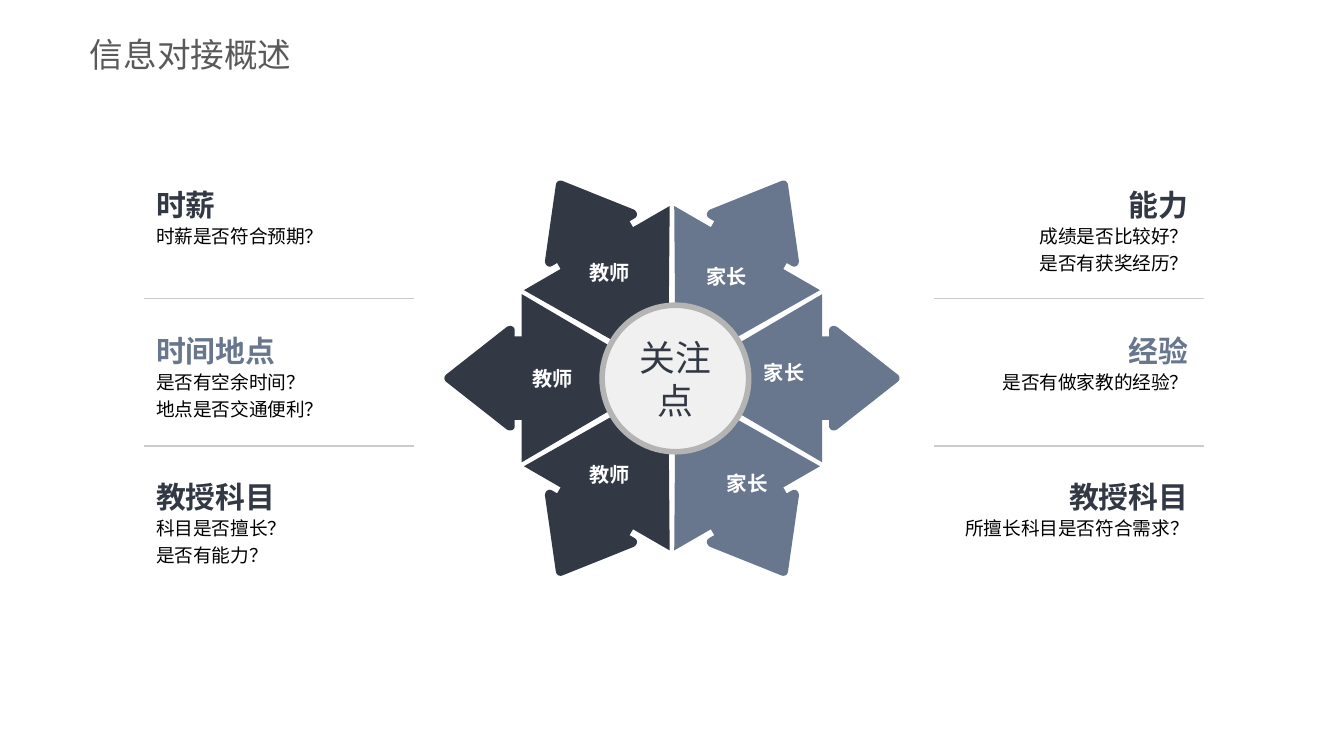
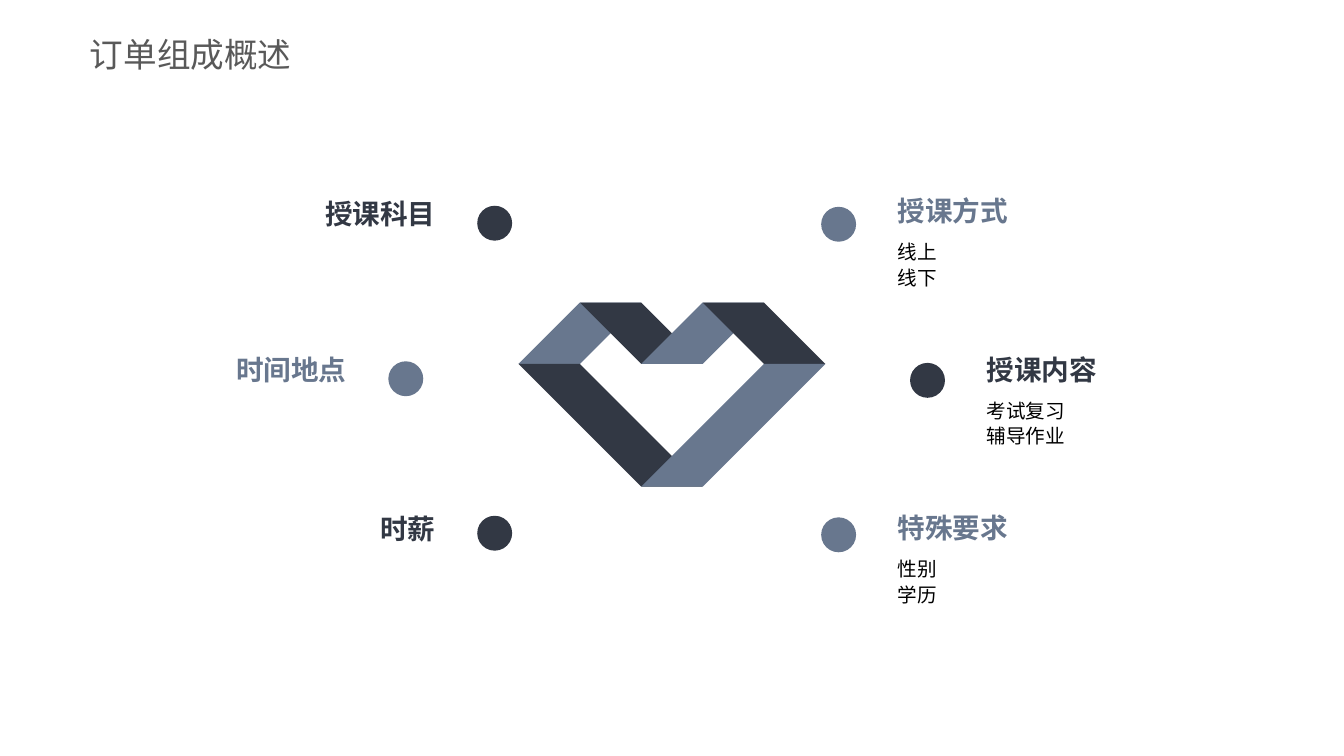
from math import cos, sin, radians
from lxml.etree import SubElement
from pptx import Presentation
from pptx.dml.color import RGBColor
from pptx.enum.shapes import MSO_CONNECTOR, MSO_SHAPE
from pptx.enum.text import MSO_ANCHOR, PP_ALIGN
from pptx.oxml.ns import qn
from pptx.util import Cm, Pt

DARK = RGBColor(0x32, 0x38, 0x44)
SLATE = RGBColor(0x68, 0x77, 0x8E)
WHITE = RGBColor(0xFF, 0xFF, 0xFF)
BLACK = RGBColor(0, 0, 0)
GREY = RGBColor(0x59, 0x59, 0x59)
PALE = RGBColor(0xF0, 0xF0, 0xF0)
RIM = RGBColor(0xB4, 0xB4, 0xB4)
RULE = RGBColor(0xCC, 0xCC, 0xCC)
SANS = "Noto Sans CJK SC"
LEFT, MID, RIGHT = PP_ALIGN.LEFT, PP_ALIGN.CENTER, PP_ALIGN.RIGHT
TOP, HALF, BASE = MSO_ANCHOR.TOP, MSO_ANCHOR.MIDDLE, MSO_ANCHOR.BOTTOM

TITLE = dict(size=Pt(18), name="Arial", color=GREY)
BADGE = dict(size=Pt(10.8), name=SANS, color=WHITE, bold=True)
HUB = dict(size=Pt(19.2), name=SANS, color=DARK)
HEAD = dict(size=Pt(16), name=SANS, bold=True)
BODY = dict(size=Pt(10), name=SANS, color=BLACK)
TOPIC = dict(size=Pt(14.8), name=SANS, bold=True)
ITEM = dict(size=Pt(10.5), name=SANS, color=BLACK)

PETALS = [
    (-120, DARK, "教师", (10.77, 4.8)),
    (180, DARK, "教师", (9.7, 6.81)),
    (120, DARK, "教师", (10.77, 8.61)),
    (60, SLATE, "家长", None),
    (0, SLATE, "家长", (14.07, 6.68)),
    (-60, SLATE, "家长", (12.98, 4.88)),
]
SIDES = [
    (17.02, 17.65, RIGHT, [
        ("能力", ["成绩是否比较好？", "是否有获奖经历？"]),
        ("经验", ["是否有做家教的经验？"]),
        ("教授科目", ["所擅长科目是否符合需求？"])]),
    (2.95, 2.72, LEFT, [
        ("时薪", ["时薪是否符合预期？"]),
        ("时间地点", ["是否有空余时间？", "地点是否交通便利？"]),
        ("教授科目", ["科目是否擅长？", "是否有能力？"])]),
]
HEART = [
    (SLATE, [(1, 1), (0, 1), (1, 0), (2, 0)]),
    (DARK, [(2, 0), (1, 0), (2, 1), (3, 1)]),
    (SLATE, [(3, 1), (2, 1), (3, 0), (4, 0)]),
    (DARK, [(4, 0), (3, 0), (4, 1), (5, 1)]),
    (DARK, [(3, 3), (1, 1), (0, 1), (2, 3)]),
    (SLATE, [(2, 3), (3, 3), (5, 1), (4, 1)]),
]
ORDER_L = [
    (9.02, 3.89, 3.73, DARK, "授课科目"),
    (7.34, 6.83, 6.68, SLATE, "时间地点"),
    (9.02, 9.75, 9.68, DARK, "时薪"),
]
ORDER_R = [
    (15.52, 3.91, 3.68, SLATE, "授课方式", ["线上", "线下"]),
    (17.2, 6.86, 6.68, DARK, "授课内容", ["考试复习", "辅导作业"]),
    (15.52, 9.78, 9.68, SLATE, "特殊要求", ["性别", "学历"]),
]


def put(frame, lines, look, align=LEFT, anchor=TOP, gap=None, wrap=True, pad=None):
    frame.word_wrap = wrap
    frame.vertical_anchor = anchor
    if pad:
        for side, val in zip(("left", "top", "right", "bottom"), pad):
            setattr(frame, "margin_" + side, Cm(val))
    for num, line in enumerate(lines):
        para = frame.add_paragraph() if num else frame.paragraphs[0]
        para.alignment = align
        if gap:
            para.line_spacing = gap
        run = para.add_run()
        run.text = line
        for key, val in look.items():
            if key == "color":
                run.font.color.rgb = val
            else:
                setattr(run.font, key, val)
        SubElement(run.font._element, qn("a:ea")).set("typeface", SANS)


def write(slide, box, lines, look, **kind):
    item = slide.shapes.add_textbox(*map(Cm, box))
    put(item.text_frame, lines, look, **kind)


def paint(shape, fill, edge=None):
    shape.shadow.inherit = False
    shape.fill.solid()
    shape.fill.fore_color.rgb = fill
    if edge:
        shape.line.color.rgb = edge
        shape.line.width = Pt(3)
    else:
        shape.line.fill.background()
    return shape


def disc(slide, left, top, size, fill, edge=None):
    box = map(Cm, (left, top, size, size))
    return paint(slide.shapes.add_shape(MSO_SHAPE.OVAL, *box), fill, edge)


def trace(slide, points, fill):
    spots = [(Cm(x), Cm(y)) for x, y in points]
    pen = slide.shapes.build_freeform(*spots[0])
    pen.add_line_segments(spots[1:], close=True)
    return paint(pen.convert_to_shape(), fill)


def rule(slide, left, top, wide):
    line = slide.shapes.add_connector(
        MSO_CONNECTOR.STRAIGHT, Cm(left), Cm(top), Cm(left + wide), Cm(top))
    line.line.color.rgb = RULE
    line.line.width = Pt(0.75)
    SubElement(line._element.spPr, qn("a:effectLst"))


def curve(a, b, c, d, steps=8):
    spots = []
    for num in range(steps + 1):
        t = num / steps
        mix = ((1 - t) ** 3, 3 * t * (1 - t) ** 2, 3 * t * t * (1 - t), t ** 3)
        spots.append(tuple(sum(m * p[i] for m, p in zip(mix, (a, b, c, d)))
                           for i in (0, 1)))
    return spots


def mirror(points):
    return points + [(x, -y) for x, y in reversed(points)]


def turn(points, angle, hub):
    c, s = cos(radians(angle)), sin(radians(angle))
    return [(hub[0] + x * c - y * s, hub[1] + x * s + y * c) for x, y in points]


def start(deck, title):
    slide = deck.slides.add_slide(deck.slide_layouts[6])
    write(slide, (1.7, 0.48, 5.92, 1.07), [title], TITLE,
          anchor=HALF, pad=(0, 0.13, 0, 0.13))
    return slide


def focus(deck):
    slide = start(deck, "信息对接概述")
    hub = (12.7, 7.15)
    wedge = mirror([(1.19, -0.62), (2.84, -1.59)])
    tip = curve((4.24, -0.09), (4.32, -0.04), (4.32, 0.04), (4.24, 0.09))
    barb = curve((2.97, -0.9), (2.97, -0.98), (3.05, -1.01), (3.12, -0.97))
    arrow = mirror([(2.54, -0.79), (2.97, -0.79)] + barb + tip[:5])
    for angle, fill, label, spot in PETALS:
        trace(slide, turn(arrow, angle, hub), fill)
        part = trace(slide, turn(wedge, angle, hub), fill)
        if spot:
            write(slide, (*spot, 1.5, 0.64), [label], BADGE, align=MID, wrap=False)
        else:
            put(part.text_frame, [label], {**BADGE, "size": Pt(11)},
                align=MID, anchor=HALF)
    core = disc(slide, 11.38, 5.77, 2.77, PALE, RIM)
    put(core.text_frame, ["关注点"], HUB, align=MID, anchor=HALF)
    flat = (0, 0, 0, 0)
    for left, edge, align, rows in SIDES:
        for num, (head, lines) in enumerate(rows):
            top = 3.53 + 2.76 * num
            tint = {**HEAD, "color": SLATE if num == 1 else DARK}
            write(slide, (left, top + 0.64, 5.44, 1.07), lines, BODY,
                  align=align, gap=1.2, pad=flat)
            write(slide, (left, top, 5.44, 0.64), [head], tint,
                  align=align, wrap=False, pad=flat)
        for top in (5.64, 8.43):
            rule(slide, edge, top, 5.11)


def order(deck):
    slide = start(deck, "订单组成概述")
    left, top, unit = 9.8, 5.72, 1.16
    for fill, cells in HEART:
        trace(slide, [(left + unit * x, top + unit * y) for x, y in cells], fill)
    size, wide, high = 0.66, 4.72, 0.61
    for x, y, top, fill, head in ORDER_L:
        disc(slide, x, y, size, fill)
        write(slide, (x - wide, top, wide, high), [head], {**TOPIC, "color": fill},
              align=RIGHT, anchor=HALF, wrap=False, pad=(0, 0, 0.79, 0))
    for x, y, top, fill, head, lines in ORDER_R:
        disc(slide, x, y, size, fill)
        write(slide, (x + size, top, wide, high), [head], {**TOPIC, "color": fill},
              anchor=BASE, wrap=False, pad=(0.79, 0, 0, 0))
        write(slide, (x + size, top + high, wide, 1.17), lines, ITEM,
              gap=1.1, pad=(0.79, 0.2, 0, 0))


deck = Presentation()
deck.slide_width, deck.slide_height = Cm(25.4), Cm(14.29)
focus(deck)
order(deck)
deck.save("out.pptx")
